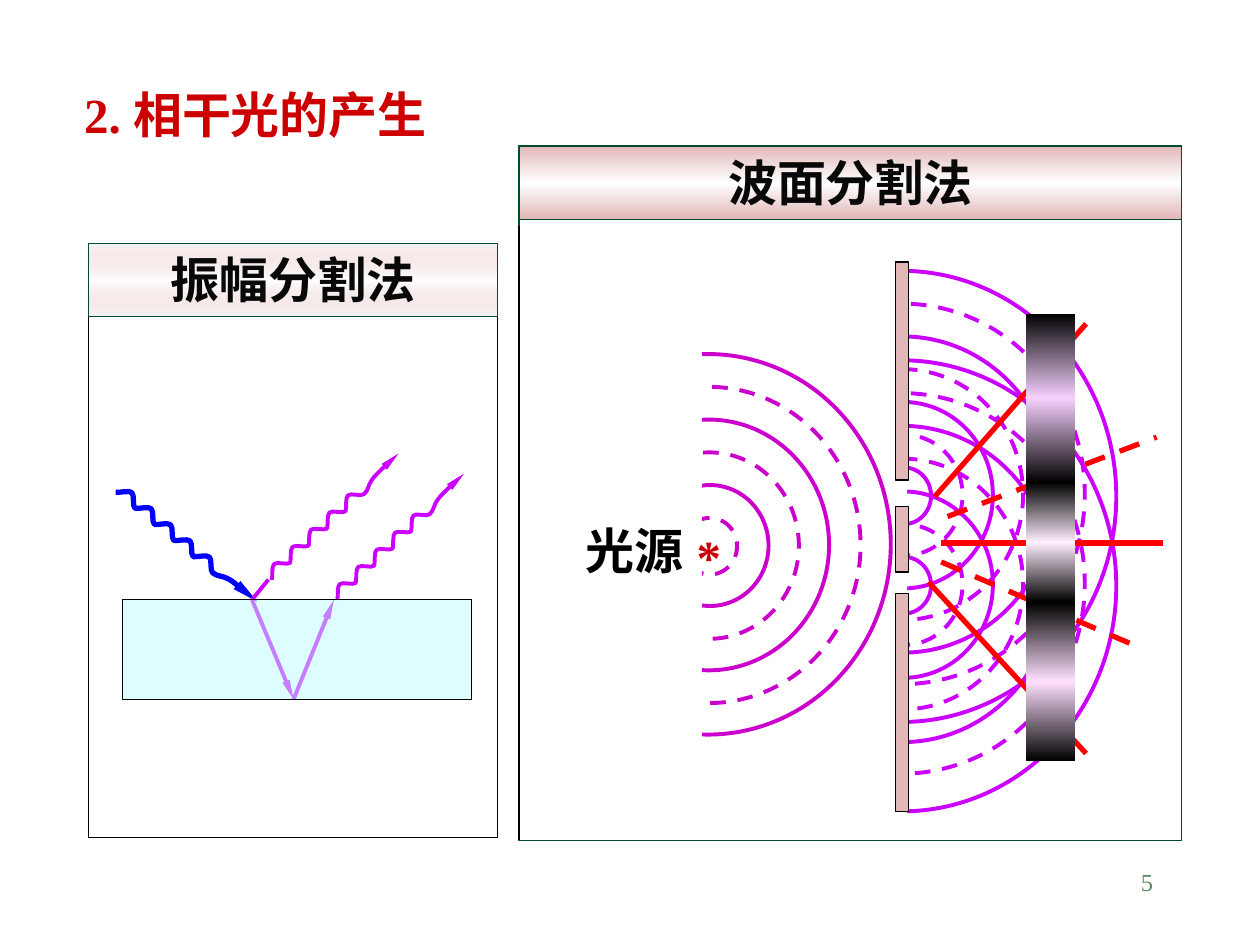
from copy import deepcopy

from lxml import etree
from pptx import Presentation
from pptx.dml.color import RGBColor
from pptx.enum.dml import MSO_LINE
from pptx.enum.shapes import MSO_CONNECTOR, MSO_SHAPE
from pptx.enum.text import MSO_ANCHOR, PP_ALIGN
from pptx.oxml.ns import qn
from pptx.util import Inches, Pt

RECT, OVAL = MSO_SHAPE.RECTANGLE, MSO_SHAPE.OVAL
STRAIGHT, DASH = MSO_CONNECTOR.STRAIGHT, MSO_LINE.DASH
LEFT, CENTER, RIGHT = PP_ALIGN.LEFT, PP_ALIGN.CENTER, PP_ALIGN.RIGHT
TOP = MSO_ANCHOR.TOP

COLORS = {
    "black": "000000", "white": "FFFFFF", "heading": "080808", "title": "CC0000",
    "number": "578963", "frame": "004C2B", "rose": "E1B7B7", "glass": "BDFDFF",
    "incident": "0000FF", "violet": "CC00FF", "source": "CC00CC", "ray": "FF0000",
    "upper": "F6D1FF", "middle": "FFEFFF", "lower": "FFE1FF",
}

prs = Presentation()
prs.slide_width, prs.slide_height = Inches(10), Inches(7.5)
slide = prs.slides.add_slide(prs.slide_layouts[6])


def style(item, line=None, width=0.75, dash=None, arrow=False, fill=None, alpha=None):
    properties = item._element.spPr
    if isinstance(fill, tuple):
        item.fill.gradient()
        item.fill.gradient_angle = 90
        stops = properties.find(".//" + qn("a:gsLst"))
        stops.append(deepcopy(stops[-1]))
        for stop, place, name in zip(item.fill.gradient_stops, (0, 0.5, 1), fill):
            stop.position = place
            stop.color.rgb = RGBColor.from_string(COLORS[name])
    elif fill:
        item.fill.solid()
        item.fill.fore_color.rgb = RGBColor.from_string(COLORS[fill])
    elif hasattr(item, "fill"):
        item.fill.background()
    if alpha:
        for color in properties.iter(qn("a:srgbClr")):
            if color.get("val") != COLORS["white"]:
                etree.SubElement(color, qn("a:alpha"), val=str(alpha * 1000))
    if line:
        item.line.color.rgb = RGBColor.from_string(COLORS[line])
        item.line.width = Pt(width)
        if dash:
            item.line.dash_style = dash
        if arrow:
            etree.SubElement(item.line._get_or_add_ln(), qn("a:tailEnd"),
                             type="triangle", w="sm", len="lg")
    else:
        item.line.fill.background()
    etree.SubElement(properties, qn("a:effectLst"))


def write(box, text, color, size=28, align=LEFT, bold=True, wrap=True):
    frame = box.text_frame
    frame.word_wrap = wrap
    frame.vertical_anchor = TOP
    paragraph = frame.paragraphs[0]
    paragraph.text = text
    paragraph.alignment = align
    paragraph.font.name = "Times New Roman"
    paragraph.font.size = Pt(size)
    paragraph.font.bold = bold
    paragraph.font.color.rgb = RGBColor.from_string(COLORS[color])


page_number = slide.shapes.add_textbox(Inches(7.17), Inches(6.83), Inches(2.08), Inches(0.5))
write(page_number, "5", "number", 14, RIGHT, False)
title = slide.shapes.add_textbox(Inches(0.57), Inches(0.62), Inches(4.08), Inches(0.57))
write(title, "2. 相干光的产生", "title")

panels = []
for heading, x, y, w, h, edge, alpha in (
    ("振幅分割法", 0.7, 1.93, 3.25, 4.72, "black", 14),
    ("波面分割法", 4.12, 1.16, 5.26, 5.51, "frame", None),
):
    group = slide.shapes.add_group_shape().shapes
    panel = group.add_shape(RECT, Inches(x), Inches(y), Inches(w), Inches(h))
    style(panel, edge)
    banner = group.add_shape(RECT, Inches(x), Inches(y), Inches(w), Inches(0.58))
    style(banner, "frame", fill=("rose", "white", "rose"), alpha=alpha)
    write(banner, heading, "heading", align=CENTER)
    panels.append(group)
amplitude, wavefront = panels

PERIOD, CREST = 0.2, 0.08
curves = []
for n in range(5):
    x = n * PERIOD
    curves.append(((x + 0.03, 0.06), (x + 0.07, 0), (x + 0.1, 0)))
    curves.append(((x + 0.13, 0), (x + 0.17, CREST), (x + PERIOD, CREST)))
curves += [((1.05, 0.08), (1.07, 0.05), (1.12, 0.04)),
           ((1.16, 0.03), (1.27, 0.03), (1.32, 0.03)),
           ((1.37, 0.04), (1.4, 0.03), (1.42, 0.03))]

for left, top, degrees, color, width in (
    (0.78, 4.29, 39.7, "incident", 3),
    (1.94, 4.05, 317.1, "violet", 2.25),
    (2.46, 4.21, 317.1, "violet", 2.25),
):
    builder = amplitude.build_freeform(Inches(left), Inches(top + CREST))
    builder.add_line_segments([(Inches(left + x), Inches(top + y))
                               for *_, (x, y) in curves], close=False)
    wave = builder.convert_to_shape()
    for segment, curve in zip(list(wave._element.iter(qn("a:lnTo"))), curves):
        segment.tag = qn("a:cubicBezTo")
        for place, (x, y) in enumerate(curve[:2]):
            segment.insert(place, etree.Element(qn("a:pt"), x=str(Inches(x)), y=str(Inches(y))))
    wave.rotation = degrees
    style(wave, color, width, arrow=True)

for x1, y1, x2, y2, arrow in (
    (2, 4.76, 2.13, 4.6, False),
    (2, 4.76, 2.33, 5.55, True),
    (2.33, 5.55, 2.65, 4.76, True),
):
    beam = amplitude.add_connector(STRAIGHT, Inches(x1), Inches(y1), Inches(x2), Inches(y2))
    style(beam, "violet", 2.25, arrow=arrow)
glass = amplitude.add_shape(RECT, Inches(0.97), Inches(4.76), Inches(2.77), Inches(0.79))
style(glass, "black", fill="glass", alpha=50)

RINGS = [(0.43, 0.45), (0.93, 0.96), (1.42, 1.48), (1.91, 1.99),
         (2.41, 2.51), (2.9, 3.02), (3.4, 3.58)]
RING_STEP = 0.26
for i, (w, h) in enumerate(RINGS):
    for inner_top in (4.42, 3.71):
        ring = wavefront.add_shape(OVAL, Inches(6.96 - 0.25 * i),
                                   Inches(inner_top - RING_STEP * i), Inches(w), Inches(h))
        style(ring, "violet", 2.25, DASH if i % 2 else None)

for x1, y1, x2, y2, dash in (
    (7.47, 4.31, 9.23, 4.31, None),
    (7.52, 4.1, 9.18, 3.47, DASH),
    (7.47, 4.46, 9.07, 5.15, DASH),
    (7.42, 3.94, 8.62, 2.57, None),
    (7.37, 4.62, 8.62, 5.98, None),
):
    ray = wavefront.add_connector(STRAIGHT, Inches(x1), Inches(y1), Inches(x2), Inches(y2))
    style(ray, "ray", 3, dash)

slit_cover = wavefront.add_shape(RECT, Inches(5), Inches(2.1), Inches(2.2), Inches(4.41))
style(slit_cover, fill="white")
for i, (w, h) in enumerate(RINGS[5::-1]):
    ring = wavefront.add_shape(OVAL, Inches(4.17 + 0.25 * i), Inches(2.81 + RING_STEP * i),
                               Inches(w), Inches(h))
    style(ring, "source", 2.25, DASH if i % 2 else None)
source_cover = wavefront.add_shape(RECT, Inches(4.12), Inches(2.65), Inches(1.45), Inches(3.36))
style(source_cover, fill="white")

star = wavefront.add_textbox(Inches(5.43), Inches(4.13), Inches(0.4), Inches(0.57))
write(star, "*", "title", wrap=False)
source_label = wavefront.add_textbox(Inches(4.55), Inches(4.08), Inches(1.16), Inches(0.57))
write(source_label, "光源", "black")
left_edge = wavefront.add_connector(STRAIGHT, Inches(4.12), Inches(1.79),
                                    Inches(4.12), Inches(6.67))
style(left_edge, "black")

for y, h in ((2.08, 1.73), (4.71, 1.73), (4.02, 0.52)):
    barrier = wavefront.add_shape(RECT, Inches(7.11), Inches(y), Inches(0.1), Inches(h))
    style(barrier, "black", fill="rose")
for y, h, glow in ((3.83, 0.95, "middle"), (2.49, 1.34, "upper"), (4.78, 1.26, "lower")):
    fringe = wavefront.add_shape(RECT, Inches(8.14), Inches(y), Inches(0.39), Inches(h))
    style(fringe, fill=("black", glow, "black"))

prs.save("out.pptx")
